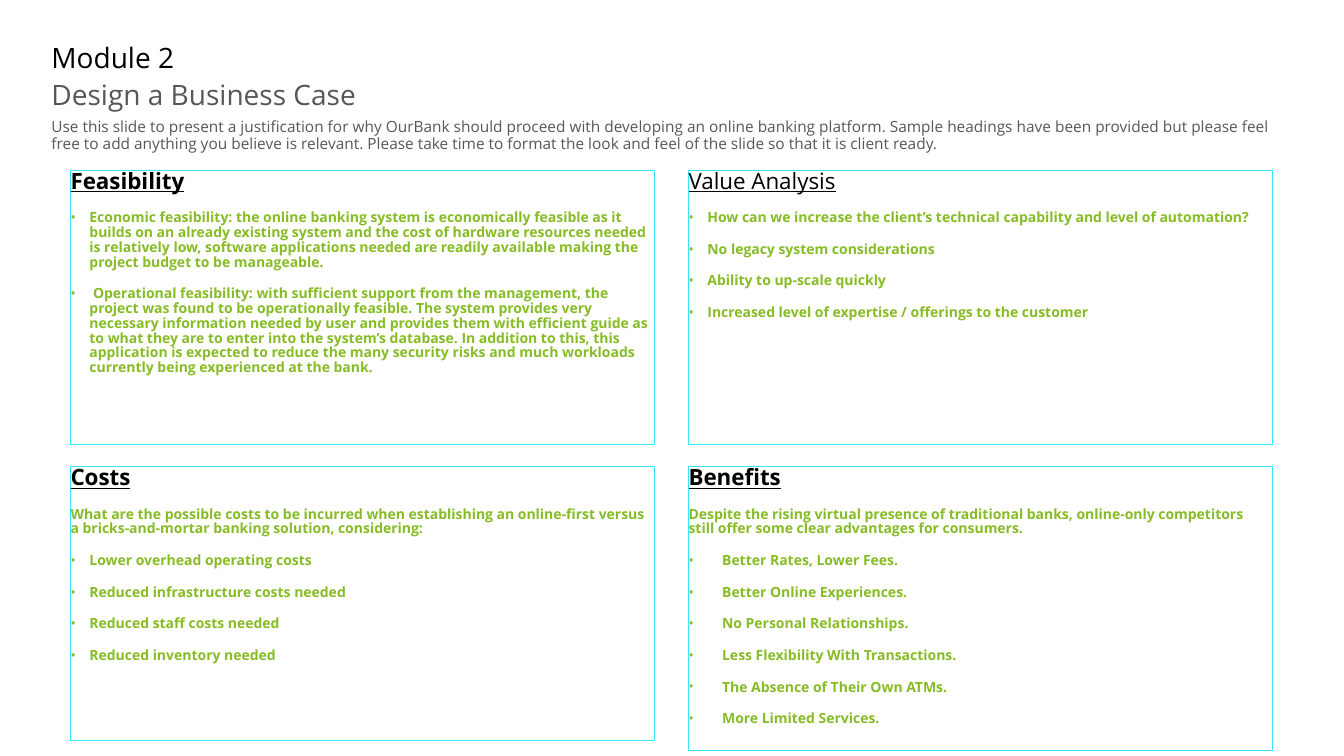
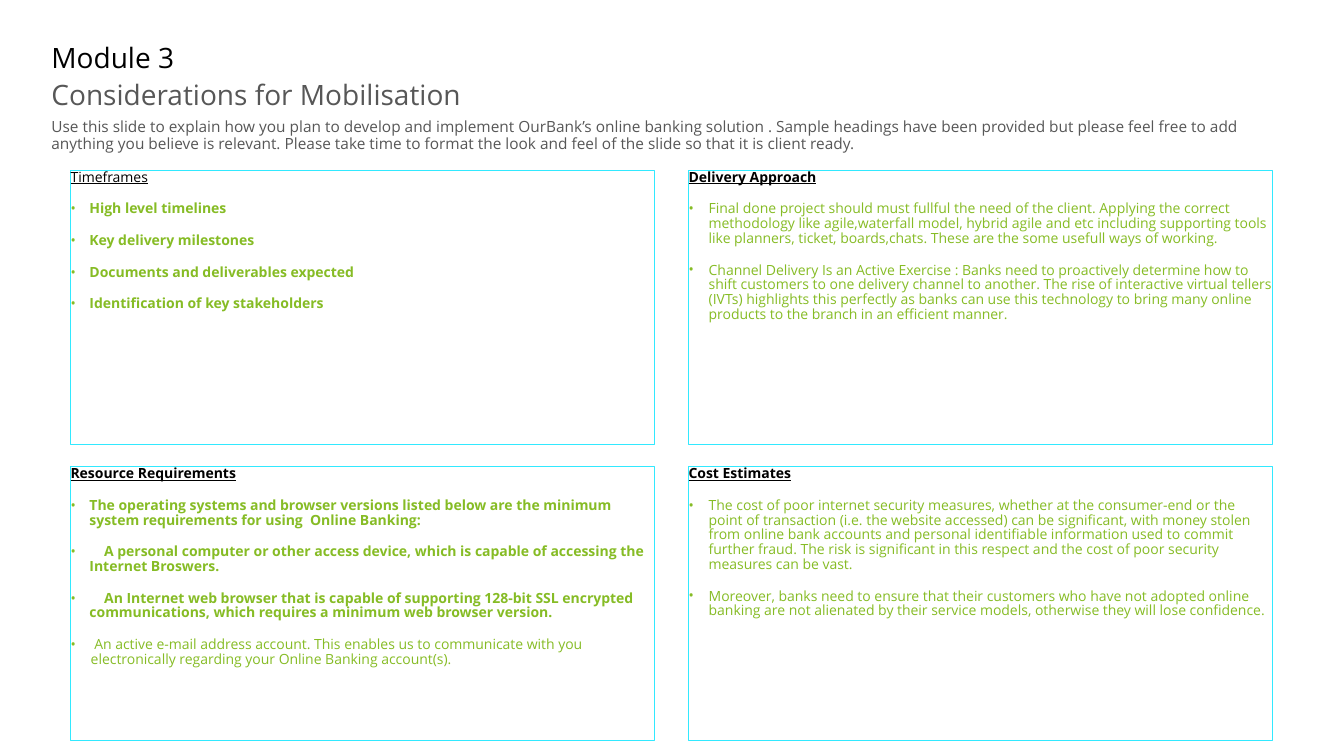
from lxml.etree import SubElement
from pptx import Presentation
from pptx.dml.color import RGBColor
from pptx.enum.shapes import MSO_SHAPE
from pptx.enum.text import MSO_ANCHOR, MSO_AUTO_SIZE, PP_ALIGN
from pptx.oxml.ns import qn
from pptx.util import Pt

# Shared look
FONT = "Open Sans"
BLACK, GREY, GREEN, CYAN = "000000", "575757", "86BC25", "32E9FF"
LEFT = 36.7
BOX_X, BOX_Y = (50.4, 491.8), (121.7, 333.4)
BOX_W, BOX_H = 416.9, 195.8
TAB_STOP = 24

# Paragraph styles: hanging indent, bold
STYLES = {
    "lead": (0, True),
    "item": (13.5, True),
    "tabbed": (13.5, True),
    "wide": (24, True),
    "light": (14.4, False),
}

# Slides: title, subtitle, introduction, heading size, boxes row by row.
# Boxes: heading, bold heading, height, paragraphs.
SLIDES = [
    ("Module 2", "Design a Business Case",
     "Use this slide to present a justification for why OurBank should proceed with developing an "
     "online banking platform. Sample headings have been provided but please feel free to add "
     "anything you believe is relevant. Please take time to format the look and feel of the slide "
     "so that it is client ready.", 16, [
         ("Feasibility", True, BOX_H, [
             ("item", "Economic feasibility: the online banking system is economically feasible as "
              "it builds on an already existing system and the cost of hardware resources needed is "
              "relatively low, software applications needed are readily available making the "
              "project budget to be manageable."),
             ("item", " Operational feasibility: with sufficient support from the management, the "
              "project was found to be operationally feasible. The system provides very necessary "
              "information needed by user and provides them with efficient guide as to what they "
              "are to enter into the system’s database. In addition to this, this application is "
              "expected to reduce the many security risks and much workloads currently being "
              "experienced at the bank."),
         ]),
         ("Value Analysis", False, BOX_H, [
             ("item", "How can we increase the client’s technical capability and level of "
              "automation?"),
             ("item", "No legacy system considerations"),
             ("item", "Ability to up-scale quickly"),
             ("item", "Increased level of expertise / offerings to the customer"),
         ]),
         ("Costs", True, BOX_H, [
             ("lead", "What are the possible costs to be incurred when establishing an "
              "online-first versus a bricks-and-mortar banking solution, considering:"),
             ("item", "Lower overhead operating costs"),
             ("item", "Reduced infrastructure costs needed"),
             ("item", "Reduced staff costs needed"),
             ("item", "Reduced inventory needed"),
         ]),
         ("Benefits", True, 203, [
             ("lead", "Despite the rising virtual presence of traditional banks, online-only "
              "competitors still offer some clear advantages for consumers."),
             ("wide", "Better Rates, Lower Fees."),
             ("wide", "Better Online Experiences."),
             ("wide", "No Personal Relationships."),
             ("wide", "Less Flexibility With Transactions."),
             ("wide", "The Absence of Their Own ATMs."),
             ("wide", "More Limited Services."),
         ]),
     ]),
    ("Module 3", "Considerations for Mobilisation",
     "Use this slide to explain how you plan to develop and implement OurBank’s online banking "
     "solution . Sample headings have been provided but please feel free to add anything you "
     "believe is relevant. Please take time to format the look and feel of the slide so that it is "
     "client ready.", 10, [
         ("Timeframes", False, BOX_H, [
             ("item", "High level timelines"),
             ("item", "Key delivery milestones"),
             ("item", "Documents and deliverables expected"),
             ("item", "Identification of key stakeholders"),
         ]),
         ("Delivery Approach", True, BOX_H, [
             ("light", "Final done project should must fullful the need of the client. Applying "
              "the correct methodology like agile,waterfall model, hybrid agile and etc including "
              "supporting tools like planners, ticket, boards,chats. These are the some usefull "
              "ways of working."),
             ("light", "Channel Delivery Is an Active Exercise : Banks need to proactively "
              "determine how to shift customers to one delivery channel to another. The rise of "
              "interactive virtual tellers (IVTs) highlights this perfectly as banks can use this "
              "technology to bring many online products to the branch in an efficient manner."),
         ]),
         ("Resource Requirements", True, BOX_H, [
             ("item", "The operating systems and browser versions listed below are the minimum "
              "system requirements for using  Online Banking:"),
             ("tabbed", "A personal computer or other access device, which is capable of accessing "
              "the Internet Broswers."),
             ("tabbed", "An Internet web browser that is capable of supporting 128-bit SSL "
              "encrypted communications, which requires a minimum web browser version."),
             ("light", " An active e-mail address account. This enables us to communicate with you "
              "electronically regarding your Online Banking account(s)."),
         ]),
         ("Cost Estimates", True, BOX_H, [
             ("light", "The cost of poor internet security measures, whether at the consumer-end "
              "or the point of transaction (i.e. the website accessed) can be significant, with "
              "money stolen from online bank accounts and personal identifiable information used "
              "to commit further fraud. The risk is significant in this respect and the cost of "
              "poor security measures can be vast."),
             ("light", "Moreover, banks need to ensure that their customers who have not adopted "
              "online banking are not alienated by their service models, otherwise they will lose "
              "confidence."),
         ]),
     ]),
]


def rgb(value):
    return RGBColor.from_string(value)


def add_text(sp, text, size, color, bold=False, gap=0, first=False):
    """Add one paragraph to a shape; the first one also sets up its frame."""
    tf = sp.text_frame
    if first:
        tf.word_wrap = True
        tf.auto_size = MSO_AUTO_SIZE.NONE
        tf.vertical_anchor = MSO_ANCHOR.TOP
        tf.margin_left = tf.margin_top = tf.margin_right = tf.margin_bottom = 0
    p = tf.paragraphs[0] if first else tf.add_paragraph()
    p.alignment = PP_ALIGN.LEFT
    p.line_spacing = 0.88
    p.space_before = p.space_after = Pt(gap)
    r = p.add_run()
    r.text = text
    r.font.name, r.font.size, r.font.bold = FONT, Pt(size), bold
    r.font.color.rgb = rgb(color)
    return p


prs = Presentation()
prs.slide_width, prs.slide_height = Pt(960), Pt(540)

for title, subtitle, intro, heading_size, boxes in SLIDES:
    s = prs.slides.add_slide(prs.slide_layouts[5])

    # Title, subtitle and introduction
    sp = s.shapes.title
    sp.left, sp.top, sp.width, sp.height = Pt(LEFT), Pt(31.7), Pt(721.4), Pt(26.6)
    add_text(sp, title, 20, BLACK, first=True)
    for text, top, width, height, size in ((subtitle, 58.3, 721.4, 29.5, 20),
                                           (intro, 85.7, 887, 31.7, 11)):
        sp = s.shapes.add_textbox(Pt(LEFT), Pt(top), Pt(width), Pt(height))
        add_text(sp, text, size, GREY, first=True)

    # Two by two boxes
    for i, (heading, heading_bold, height, items) in enumerate(boxes):
        sp = s.shapes.add_shape(MSO_SHAPE.RECTANGLE, Pt(BOX_X[i % 2]), Pt(BOX_Y[i // 2]),
                                Pt(BOX_W), Pt(height))
        sp.shadow.inherit = False
        sp.fill.background()
        sp.line.color.rgb = rgb(CYAN)
        sp.line.width = Pt(0.75)
        p = add_text(sp, heading, heading_size, BLACK, heading_bold, gap=6, first=True)
        p.runs[0].font.underline = True

        for style, text in items:
            indent, bold = STYLES[style]
            tabbed = style == "tabbed"
            p = add_text(sp, "\t" + text if tabbed else text, 10, GREEN, bold, gap=6)
            if indent:
                pPr = p._p.get_or_add_pPr()
                pPr.set("marL", str(Pt(indent)))
                pPr.set("indent", str(-Pt(indent)))
                SubElement(pPr, qn("a:buFont")).set("typeface", FONT)
                SubElement(pPr, qn("a:buChar")).set("char", "•")
                if tabbed:
                    tab = SubElement(SubElement(pPr, qn("a:tabLst")), qn("a:tab"))
                    tab.set("pos", str(Pt(TAB_STOP)))
                    tab.set("algn", "l")

prs.save("out.pptx")
